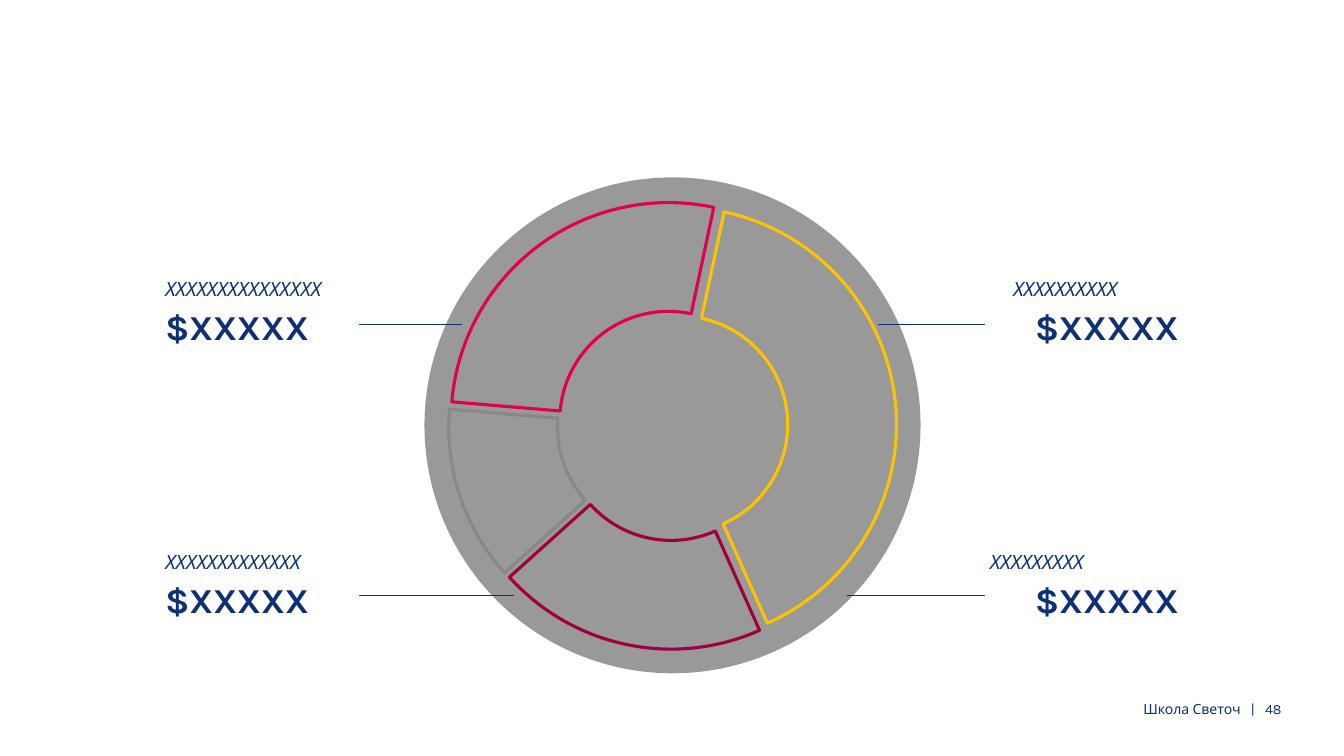
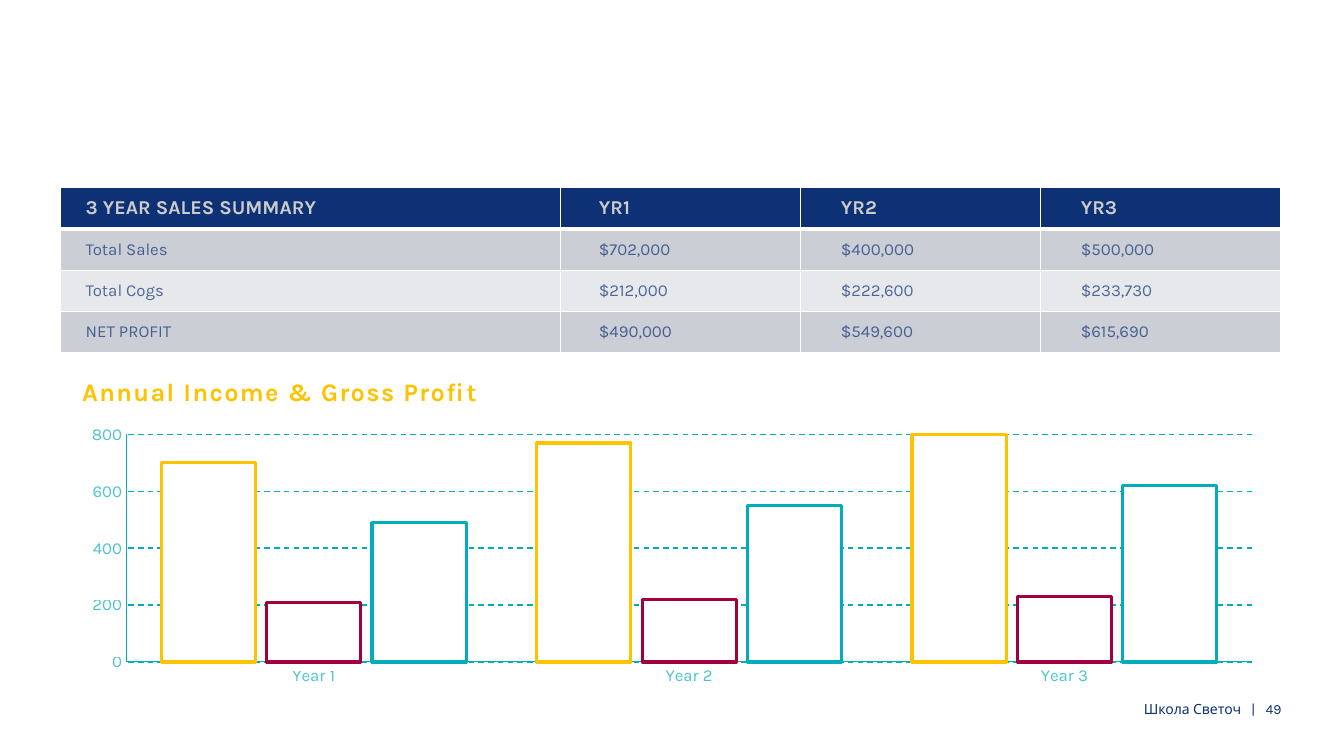
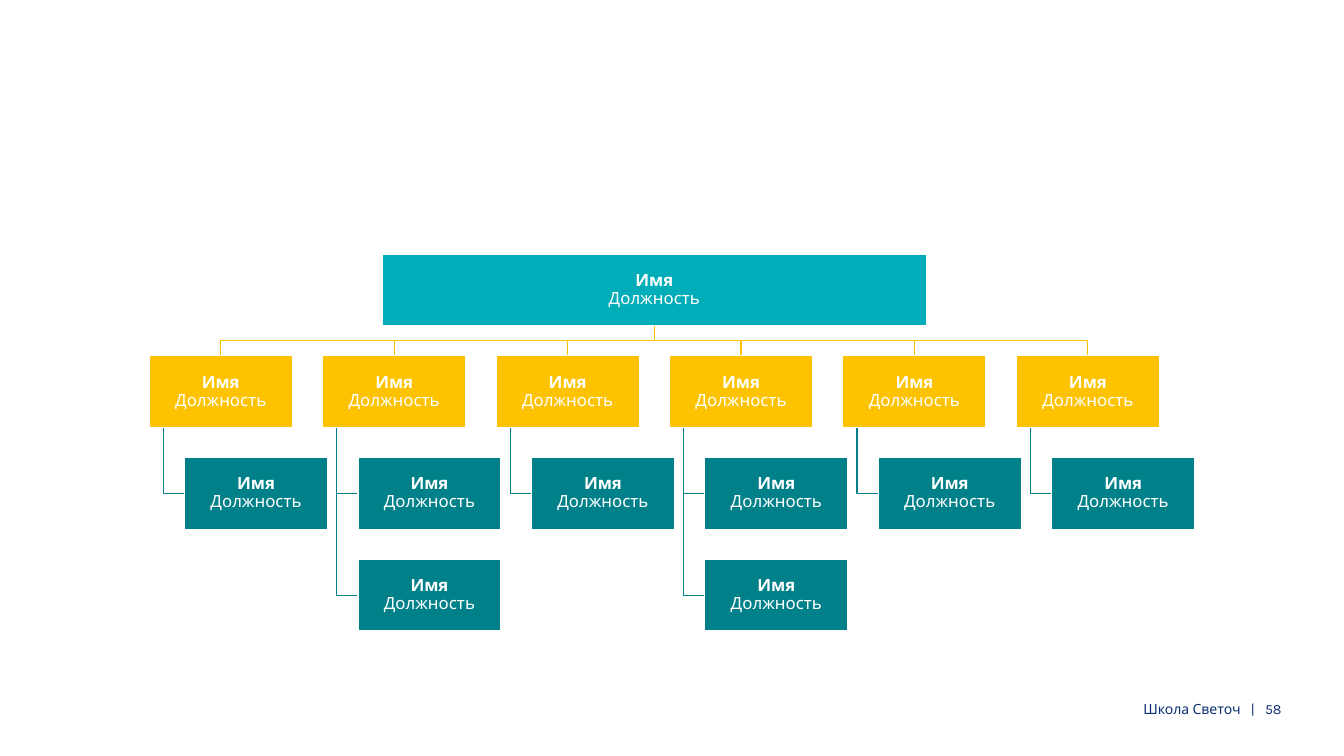
from lxml import etree
from pptx import Presentation
from pptx.chart.data import CategoryChartData
from pptx.dml.color import RGBColor
from pptx.enum import chart as charts, dml, shapes, text
from pptx.oxml import ns
from pptx.util import Inches, Pt

# Shared look
FONT = "Karla"
NAVY = RGBColor(0x0D, 0x31, 0x74)
YELLOW = RGBColor(0xFD, 0xC3, 0x00)
TEAL = RGBColor(0x00, 0xAD, 0xB9)
DARK_TEAL = RGBColor(0x00, 0x81, 0x8A)
WINE = RGBColor(0xA1, 0x00, 0x3E)
PINK = RGBColor(0xE1, 0x00, 0x50)
WHITE = RGBColor(0xFF, 0xFF, 0xFF)
GRAY = RGBColor(0x99, 0x99, 0x99)
MID_GRAY = RGBColor(0x88, 0x88, 0x88)
LIGHT_GRAY = RGBColor(0xCC, 0xCC, 0xCC)
ROW_DARK = RGBColor(0xCC, 0xCE, 0xD6)
ROW_LIGHT = RGBColor(0xE7, 0xE8, 0xEB)
LEFT, CENTER, RIGHT = text.PP_ALIGN.LEFT, text.PP_ALIGN.CENTER, text.PP_ALIGN.RIGHT
SCHOOL = "Школа Светоч"

# Slide 1: ring slices (share, outline) and callouts (label, left, top, width, align)
SLICES = [(40, YELLOW), (20, WINE), (13, MID_GRAY), (27, PINK)]
AMOUNT = "$XXXXX"
CALLOUTS = [
    ("ХХХХХХХХХХ", 10.05, 2.7, 1.64, RIGHT),
    ("ХХХХХХХХХХХХХ", 1.64, 5.41, 1.76, LEFT),
    ("ХХХХХХХХХ", 9.82, 5.41, 1.87, RIGHT),
    ("ХХХХХХХХХХХХХХХ", 1.64, 2.7, 1.96, LEFT),
]
LEADERS = [(3.56, 4.58, 3.22), (3.56, 5.1, 5.91), (8.71, 9.77, 3.22), (8.4, 9.77, 5.91)]

# Slide 2: table and columns
SALES = [
    ("3 YEAR SALES SUMMARY", "YR1", "YR2", "YR3"),
    ("Total Sales", "$702,000", "$400,000", "$500,000"),
    ("Total Cogs", "$212,000", "$222,600", "$233,730"),
    ("NET PROFIT", "$490,000", "$549,600", "$615,690"),
]
ROW_FILLS = [NAVY, ROW_DARK, ROW_LIGHT, ROW_DARK]
SPACE_BEFORE = [7.8, 4.2, 3.7, 3.7]
COLUMN_WIDTHS = [4.96, 2.38, 2.38, 2.38]
CELL_INDENTS = [0.25, 0.38, 0.4, 0.4]
ROW_HEIGHT = 0.41
CHART_TITLE = "Annual Income & Gross Profit"
YEARS = ["Year 1", "Year 2", "Year 3"]
SERIES = [
    ("Series 1", (700, 770, 800), YELLOW),
    ("Series 2", (210, 220, 230), WINE),
    ("Series 3", (490, 550, 620), TEAL),
]

# Slide 3: number of reports under each manager
NAME, POSITION = "Имя", "Должность"
REPORTS = [1, 2, 1, 2, 1, 1]
BOX_WIDTH, BOX_HEIGHT = 1.42, 0.71
ROOT_WIDTH, ROOT_TOP = 5.4, 2.52
FIRST_LEFT, COLUMN_STEP, LEVEL_STEP = 1.48, 1.72, 1.01
REPORT_SHIFT, TRUNK_SHIFT = 0.35, 0.14


def format_font(font, size=12, color=NAVY, bold=False, italic=False, alpha=None):
    font.name, font.size, font.bold, font.italic = FONT, Pt(size), bold, italic
    font.color.rgb = color
    if alpha:
        for clr in font._rPr.iter(ns.qn("a:srgbClr")):
            etree.SubElement(clr, ns.qn("a:alpha"), val=str(alpha * 1000))


def add_text(frame, words, first=True, same=False, align=LEFT, before=0, lines=None,
             tracking=0, **style):
    """Write one run: in the first, the same or a new paragraph of the frame."""
    paragraph = frame.paragraphs[-1] if first or same else frame.add_paragraph()
    if not same:
        paragraph.alignment, paragraph.space_before = align, Pt(before)
        paragraph.line_spacing = lines
    run = paragraph.add_run()
    run.text = words
    format_font(run.font, **style)
    if tracking:
        run.font._rPr.set("spc", str(tracking * 100))
    return paragraph


def set_margins(holder, left=0, top=0, right=0, bottom=0):
    holder.margin_left, holder.margin_top = Inches(left), Inches(top)
    holder.margin_right, holder.margin_bottom = Inches(right), Inches(bottom)


def add_box(slide, left, top, width, height, top_margin=0):
    box = slide.shapes.add_textbox(*map(Inches, (left, top, width, height)))
    box.text_frame.word_wrap = True
    set_margins(box.text_frame, top=top_margin)
    return box.text_frame


def add_filled(slide, kind, left, top, width, height, fill):
    shape = slide.shapes.add_shape(kind, *map(Inches, (left, top, width, height)))
    shape.shadow.inherit = False
    shape.fill.solid()
    shape.fill.fore_color.rgb = fill
    shape.line.fill.background()
    return shape


def set_line(line, color, width):
    line.color.rgb, line.width = color, Pt(width)


def add_slide(presentation, number):
    slide = presentation.slides.add_slide(presentation.slide_layouts[6])
    frame = add_box(slide, 10.07, 6.95, 2.64, 0.4)
    add_text(frame, SCHOOL, align=RIGHT, size=10)
    for words, tracking in ((" ", 5), ("|", 0), (" ", 5), (str(number), 0)):
        add_text(frame, words, same=True, size=10, tracking=tracking)
    return slide


def add_chart(slide, kind, place, categories, series):
    data = CategoryChartData()
    data.categories = categories
    for name, values in series:
        data.add_series(name, values)
    chart = slide.shapes.add_chart(kind, *map(Inches, place), data).chart
    chart.has_legend = chart.has_title = False
    format_font(chart.font, size=10, color=WHITE)
    chart.plots[0].vary_by_categories = False
    return chart


def set_layout(parent, index, **values):
    """Fix the place of a chart part as fractions of the chart."""
    for old in parent.findall(ns.qn("c:layout")):
        parent.remove(old)
    layout = etree.Element(ns.qn("c:layout"))
    manual = etree.SubElement(layout, ns.qn("c:manualLayout"))
    if "w" in values:
        etree.SubElement(manual, ns.qn("c:layoutTarget"), val="inner")
    for axis in ("x", "y"):
        etree.SubElement(manual, ns.qn(f"c:{axis}Mode"), val="edge")
    for key, value in values.items():
        etree.SubElement(manual, ns.qn(f"c:{key}"), val=str(value))
    parent.insert(index, layout)


def set_borders(cell, bottom):
    properties = cell._tc.get_or_add_tcPr()
    for index, (side, width) in enumerate((("L", 1), ("R", 1), ("T", 1), ("B", bottom))):
        border = etree.Element(ns.qn(f"a:ln{side}"), w=str(Pt(width)))
        fill = etree.SubElement(border, ns.qn("a:solidFill"))
        etree.SubElement(fill, ns.qn("a:srgbClr"), val=str(WHITE))
        properties.insert(index, border)


def build_ring(presentation):
    slide = add_slide(presentation, 48)
    add_filled(slide, shapes.MSO_SHAPE.OVAL, 4.21, 1.76, 4.92, 4.92, GRAY)

    # Ring
    names = [str(number) for number in range(1, len(SLICES) + 1)]
    chart = add_chart(slide, charts.XL_CHART_TYPE.DOUGHNUT, (2.76, 1.86, 7.82, 4.72),
                      names, [("Series 1", [share for share, _ in SLICES])])
    plot = chart.plots[0]
    series = plot.series[0]
    for index, (_, outline) in enumerate(SLICES):
        point = series.points[index].format
        point.fill.solid()
        point.fill.fore_color.rgb = GRAY
        set_line(point.line, outline, 2.25)
    explosion = etree.Element(ns.qn("c:explosion"), val="6")
    series._element.find(ns.qn("c:tx")).addnext(explosion)
    for tag, value in (("firstSliceAng", "12"), ("holeSize", "71")):
        plot._element.find(ns.qn(f"c:{tag}")).set("val", value)

    # Callouts and leaders
    for label, left, top, width, align in CALLOUTS:
        frame = add_box(slide, left, top, width, 0.77, top_margin=0.05)
        add_text(frame, label, size=14, italic=True, before=3.4)
        add_text(frame, AMOUNT, first=False, align=align, size=25, bold=True, before=3.4)
    for start, end, y in LEADERS:
        leader = slide.shapes.add_connector(
            shapes.MSO_CONNECTOR.STRAIGHT, *map(Inches, (start, y, end, y)))
        set_line(leader.line, NAVY, 0.75)
        etree.SubElement(leader._element.spPr, ns.qn("a:effectLst"))


def build_sales(presentation):
    slide = add_slide(presentation, 49)

    # Table
    table = slide.shapes.add_table(
        len(SALES), len(COLUMN_WIDTHS), Inches(0.6), Inches(1.86),
        Inches(sum(COLUMN_WIDTHS)), Inches(ROW_HEIGHT * len(SALES))).table
    for column, width in zip(table.columns, COLUMN_WIDTHS):
        column.width = Inches(width)
    for row, values in enumerate(SALES):
        table.rows[row].height = Inches(ROW_HEIGHT)
        if row == 0:
            style = dict(size=14, color=LIGHT_GRAY, bold=True)
        else:
            style = dict(size=12, alpha=70)
        for column, value in enumerate(values):
            cell = table.cell(row, column)
            cell.fill.solid()
            cell.fill.fore_color.rgb = ROW_FILLS[row]
            cell.vertical_anchor = text.MSO_ANCHOR.MIDDLE
            set_margins(cell, left=CELL_INDENTS[column])
            set_borders(cell, bottom=3 if row == 0 else 1)
            add_text(cell.text_frame, value, before=SPACE_BEFORE[row], **style)

    # Column chart
    chart = add_chart(slide, charts.XL_CHART_TYPE.COLUMN_CLUSTERED, (0.65, 3.58, 12.01, 3.32),
                      YEARS, [(name, values) for name, values, _ in SERIES])
    plot = chart.plots[0]
    plot.gap_width, plot.overlap = 75, -12
    for series, (_, _, outline) in zip(plot.series, SERIES):
        series.format.fill.solid()
        series.format.fill.fore_color.rgb = WHITE
        set_line(series.format.line, outline, 2.25)
    for axis in (chart.category_axis, chart.value_axis):
        axis.major_tick_mark = axis.minor_tick_mark = charts.XL_TICK_MARK.NONE
        format_font(axis.tick_labels.font, color=TEAL, alpha=70)
        set_line(axis.format.line, TEAL, 0.75)
    value_axis = chart.value_axis
    value_axis.minimum_scale, value_axis.maximum_scale, value_axis.major_unit = 0, 800, 200
    gridline = value_axis.major_gridlines.format.line
    set_line(gridline, TEAL, 1)
    gridline.dash_style = dml.MSO_LINE.DASH
    chart.has_title = True
    add_text(chart.chart_title.text_frame, CHART_TITLE, size=18, color=YELLOW, bold=True,
             tracking=1)
    set_layout(chart.chart_title._element, 1, x=0.01, y=0.03)
    set_layout(chart._chartSpace.chart.plotArea, 0, x=0.05, y=0.22, w=0.93, h=0.68)


def add_person(slide, left, top, width, fill):
    shape = add_filled(slide, shapes.MSO_SHAPE.RECTANGLE, left, top, width, BOX_HEIGHT, fill)
    set_line(shape.line, WHITE, 0.85)
    frame = shape.text_frame
    frame.word_wrap, frame.vertical_anchor = True, text.MSO_ANCHOR.MIDDLE
    set_margins(frame, 0.01, 0.01, 0.01, 0.01)
    paragraph = add_text(frame, NAME, align=CENTER, lines=0.9, color=WHITE, bold=True)
    paragraph.add_line_break()
    add_text(frame, POSITION, same=True, color=WHITE)


def add_branch(slide, points, color):
    start, *rest = [(Inches(x), Inches(y)) for x, y in points]
    builder = slide.shapes.build_freeform(*start)
    builder.add_line_segments(rest, close=False)
    branch = builder.convert_to_shape()
    branch.shadow.inherit = False
    branch.fill.background()
    set_line(branch.line, color, 0.85)


def build_team(presentation):
    slide = add_slide(presentation, 58)
    lefts = [FIRST_LEFT + COLUMN_STEP * index for index in range(len(REPORTS))]
    middle = (lefts[0] + lefts[-1] + BOX_WIDTH) / 2
    root_bottom = ROOT_TOP + BOX_HEIGHT
    manager_top = ROOT_TOP + LEVEL_STEP
    bus = (root_bottom + manager_top) / 2
    people = [(middle - ROOT_WIDTH / 2, ROOT_TOP, ROOT_WIDTH, TEAL)]

    # Branches lie behind the boxes
    for left, count in zip(lefts, REPORTS):
        center = left + BOX_WIDTH / 2
        add_branch(slide, [(middle, root_bottom), (middle, bus), (center, bus),
                           (center, manager_top)], YELLOW)
        people.append((left, manager_top, BOX_WIDTH, YELLOW))
        trunk, report_left = left + TRUNK_SHIFT, left + REPORT_SHIFT
        for level in range(1, count + 1):
            top = manager_top + LEVEL_STEP * level
            side = top + BOX_HEIGHT / 2
            add_branch(slide, [(trunk, manager_top + BOX_HEIGHT), (trunk, side),
                               (report_left, side)], DARK_TEAL)
            people.append((report_left, top, BOX_WIDTH, DARK_TEAL))
    for person in people:
        add_person(slide, *person)


def main():
    presentation = Presentation()
    presentation.slide_width, presentation.slide_height = Inches(13.33), Inches(7.5)
    build_ring(presentation)
    build_sales(presentation)
    build_team(presentation)
    presentation.save("out.pptx")


if __name__ == "__main__":
    main()
